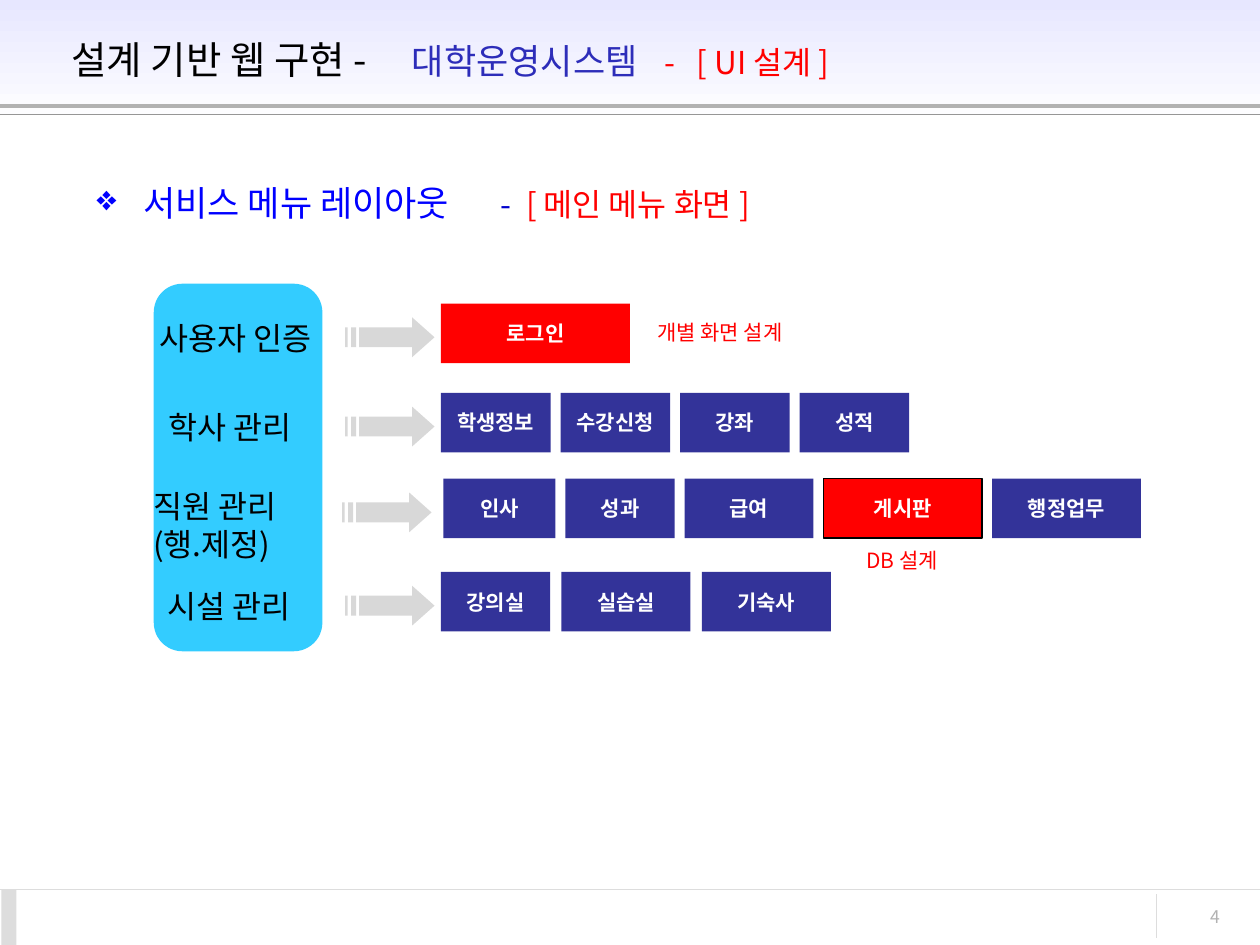
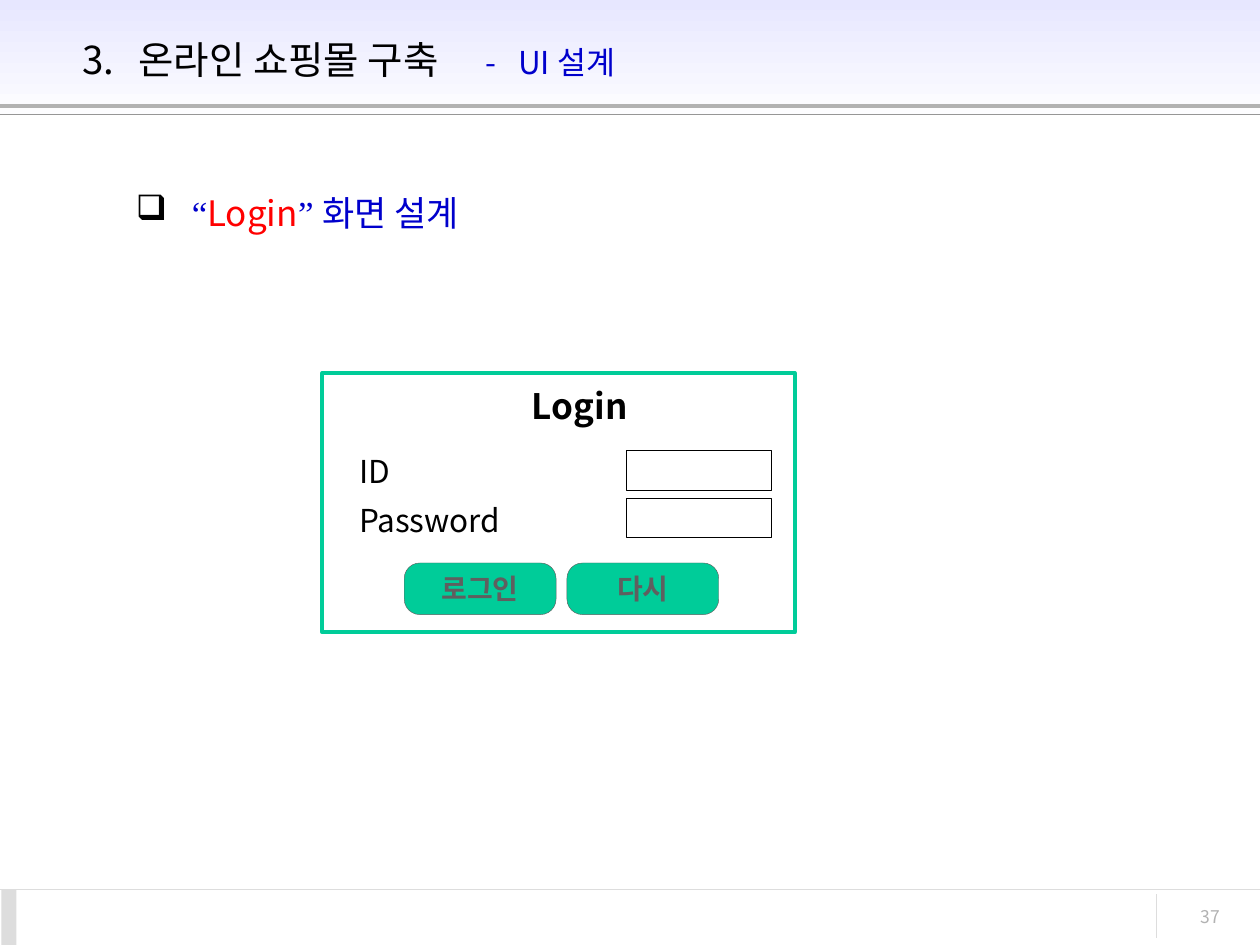
from dataclasses import dataclass

from pptx import Presentation
from pptx.dml.color import RGBColor
from pptx.enum.shapes import MSO_CONNECTOR, MSO_SHAPE
from pptx.enum.text import MSO_ANCHOR, MSO_AUTO_SIZE, PP_ALIGN
from pptx.oxml.ns import qn
from pptx.util import Cm, Pt
from lxml import etree

RECTANGLE = MSO_SHAPE.RECTANGLE
ROUNDED = MSO_SHAPE.ROUNDED_RECTANGLE
STRAIGHT = MSO_CONNECTOR.STRAIGHT
MIDDLE = MSO_ANCHOR.MIDDLE
FIXED_SIZE = MSO_AUTO_SIZE.NONE
LEFT, CENTER, RIGHT = PP_ALIGN.LEFT, PP_ALIGN.CENTER, PP_ALIGN.RIGHT


@dataclass(frozen=True)
class Theme:
    font: str = "Noto Sans CJK KR"
    quote_font: str = "Times New Roman"
    black: str = "000000"
    white: str = "FFFFFF"
    red: str = "FF0000"
    blue: str = "0000FF"
    deep_blue: str = "0000CC"
    title_blue: str = "2D2DB9"
    navy: str = "333399"
    sky: str = "33CCFF"
    green: str = "00CC99"
    lavender: str = "E7E7FF"
    dark_gray: str = "5F5F5F"
    rule_gray: str = "969696"
    gray: str = "B2B2B2"
    light_gray: str = "DDDDDD"
    title_size: float = 22
    heading_size: float = 20
    text_size: float = 18
    key_size: float = 16
    small_size: float = 12
    number_size: float = 10


theme = Theme()


def add_box(slide, kind, left, top, width, height, fill=None, line=None, weight=0.75):
    """Add a flat preset shape, or a text box when kind is None; lengths in cm."""
    bounds = [Cm(length) for length in (left, top, width, height)]
    if kind is None:
        return slide.shapes.add_textbox(*bounds)
    shape = slide.shapes.add_shape(kind, *bounds)
    shape.shadow.inherit = False
    if fill:
        shape.fill.solid()
        shape.fill.fore_color.rgb = RGBColor.from_string(fill)
    else:
        shape.fill.background()
    if line:
        shape.line.color.rgb = RGBColor.from_string(line)
        shape.line.width = Pt(weight)
    else:
        shape.line.fill.background()
    return shape


def write(paragraph, runs, align=LEFT, bold=False, bullet=None, tabs=()):
    """Add (text, size, colour[, font]) runs, with optional bullet and tab stops in cm."""
    paragraph.alignment = align
    for text, size, color, *font in runs:
        run = paragraph.add_run()
        run.text = text
        run.font.size = Pt(size)
        run.font.bold = bold
        run.font.color.rgb = RGBColor.from_string(color)
        run.font.name = font[0] if font else theme.font
        east_asian = etree.SubElement(run.font._element, qn("a:ea"))
        east_asian.set("typeface", run.font.name)
    properties = paragraph._p.get_or_add_pPr()
    if bullet:
        character, color, indent = bullet
        properties.set("marL", str(Cm(indent)))
        properties.set("indent", str(-Cm(indent)))
        bullet_color = etree.SubElement(properties, qn("a:buClr"))
        etree.SubElement(bullet_color, qn("a:srgbClr")).set("val", color)
        etree.SubElement(properties, qn("a:buChar")).set("char", character)
    if tabs:
        tab_list = etree.SubElement(properties, qn("a:tabLst"))
        for position in tabs:
            tab = etree.SubElement(tab_list, qn("a:tab"))
            tab.set("pos", str(Cm(position)))
            tab.set("algn", "l")


presentation = Presentation()
presentation.slide_width = Cm(25.4)
presentation.slide_height = Cm(19.05)
title_only = presentation.slide_layouts[5]

# Page number, title left, title tab stops, title runs
pages = [
    ("4", 1.19, (6.86, 11.96, 12.6), [
        ("설계 기반 웹 구현 -\t", theme.title_size, theme.black),
        ("대학운영시스템\t", theme.heading_size, theme.title_blue),
        ("-\t[ UI 설계 ]", theme.text_size, theme.red)]),
    ("37", 1.4, (1.14, 8.13, 8.79), [
        ("3.\t온라인 쇼핑몰 구축\t", theme.title_size, theme.black),
        ("-\tUI 설계", theme.text_size, theme.deep_blue)]),
]

# Start x, start y, end x, end y, colour, weight
rules = [
    (0, 2.13, 25.4, 2.13, theme.gray, 2.25),
    (0, 2.31, 25.4, 2.31, theme.rule_gray, 0.75),
    (0, 17.93, 25.4, 17.93, theme.light_gray, 0.75),
    (23.32, 18.03, 23.32, 18.9, theme.light_gray, 0.75),
]

# Shared frame: title band, rules, footer and title
for number, title_left, title_tabs, title_runs in pages:
    slide = presentation.slides.add_slide(title_only)

    band = add_box(slide, RECTANGLE, 0, 0, 25.4, 2.54)
    band.fill.gradient()
    band.fill.gradient_angle = 270
    for stop, position, color in zip(band.fill.gradient_stops, (0, 1),
                                     (theme.lavender, theme.white)):
        stop.position = position
        stop.color.rgb = RGBColor.from_string(color)

    for *ends, color, weight in rules:
        rule = slide.shapes.add_connector(STRAIGHT, *[Cm(end) for end in ends])
        rule.line.color.rgb = RGBColor.from_string(color)
        rule.line.width = Pt(weight)
        etree.SubElement(rule._element.spPr, qn("a:effectLst"))

    add_box(slide, RECTANGLE, 0.03, 17.93, 0.3, 1.12, theme.light_gray)
    footer = add_box(slide, None, 22.5, 18.14, 2.34, 0.84)
    footer.text_frame.word_wrap = True
    write(footer.text_frame.paragraphs[0],
          [(number, theme.number_size, theme.gray)], RIGHT)

    title = slide.shapes.title
    title.left, title.top = Cm(title_left), Cm(0.33)
    title.width, title.height = Cm(21.92), Cm(1.73)
    title.text_frame.auto_size = FIXED_SIZE
    title.text_frame.vertical_anchor = MIDDLE
    write(title.text_frame.paragraphs[0], title_runs, tabs=title_tabs)
    title.element.getparent().append(title.element)  # bring in front of the band

menu_slide, login_slide = presentation.slides

# Menu slide: heading
heading = add_box(menu_slide, None, 1.7, 3.53, 18.39, 1.12)
heading.text_frame.word_wrap = True
paragraph = heading.text_frame.paragraphs[0]
paragraph.space_before = Pt(11.2)
write(paragraph, [
    ("\t서비스 메뉴 레이아웃\t", theme.heading_size, theme.blue),
    ("-\t", theme.text_size, theme.deep_blue),
    ("[ 메인 메뉴 화면 ]", theme.text_size, theme.red),
], bullet=("❖", theme.blue, 0), tabs=(0.94, 8.15, 8.66))

# Menu slide: category panel
panel = add_box(menu_slide, ROUNDED, 3.1, 5.72, 3.4, 7.41, theme.sky)
panel.adjustments[0] = 0.17

# Row top, label (lines, left, offset, width, height), arrow left,
# first button left, gap, buttons (name, width)
menu_rows = [
    (6.12, (["사용자 인증"], 2.97, 0.18, 3.76, 1.02), 6.96, 8.89, 0.2,
     [("로그인", 3.81)]),
    (7.92, (["학사 관리"], 3.15, 0.18, 3.15, 1.02), 6.96, 8.89, 0.2,
     [("학생정보", 2.21), ("수강신청", 2.21), ("강좌", 2.21), ("성적", 2.21)]),
    (9.65, (["직원 관리", "(행.제정)"], 2.84, 0.05, 3.56, 1.78), 6.9, 8.94, 0.2,
     [("인사", 2.26), ("성과", 2.2), ("급여", 2.6), ("게시판", 3.2), ("행정업무", 3)]),
    (11.53, (["시설 관리"], 3.12, 0.18, 3.15, 1.02), 6.96, 8.89, 0.23,
     [("강의실", 2.2), ("실습실", 2.6), ("기숙사", 2.6)]),
]

# Arrow contours relative to its top left corner: arrow and two tail bars
arrow_contours = [
    [(1.35, 0), (1.35, 0.2), (0.28, 0.2), (0.28, 0.6), (1.35, 0.6), (1.35, 0.8), (1.8, 0.4)],
    [(0.12, 0.2), (0.12, 0.6), (0.22, 0.6), (0.22, 0.2)],
    [(0, 0.2), (0, 0.6), (0.05, 0.6), (0.05, 0.2)],
]

# Menu slide: label, arrow and buttons of each row
for top, label, arrow_left, left, gap, buttons in menu_rows:
    lines, label_left, offset, label_width, label_height = label
    label_box = add_box(menu_slide, None, label_left, top + offset, label_width, label_height)
    frame = label_box.text_frame
    frame.word_wrap = False
    for index, line in enumerate(lines):
        paragraph = frame.add_paragraph() if index else frame.paragraphs[0]
        write(paragraph, [(line, theme.text_size, theme.black)])

    builder = None
    for contour in arrow_contours:
        points = [(Cm(arrow_left + x), Cm(top + 0.28 + y)) for x, y in contour]
        if builder is None:
            builder = menu_slide.shapes.build_freeform(*points[0])
        else:
            builder.move_to(*points[0])
        builder.add_line_segments(points[1:], close=True)
    arrow = builder.convert_to_shape()
    arrow.shadow.inherit = False
    arrow.line.fill.background()
    arrow.fill.solid()
    arrow.fill.fore_color.rgb = RGBColor.from_string(theme.gray)
    arrow_color = arrow._element.spPr.find(".//" + qn("a:srgbClr"))
    etree.SubElement(arrow_color, qn("a:alpha")).set("val", "50000")

    for name, width in buttons:
        fill = theme.red if name in ("로그인", "게시판") else theme.navy
        outline = theme.black if name == "게시판" else None
        button = add_box(menu_slide, RECTANGLE, left, top, width, 1.2, fill, outline)
        button.text_frame.vertical_anchor = MIDDLE
        paragraph = button.text_frame.paragraphs[0]
        paragraph.space_before = Pt(3)
        write(paragraph, [(name, theme.small_size, theme.white)], CENTER, bold=True)
        left += width + gap

# Menu slide: red remarks
for text, left, top, width in [("DB 설계", 17.22, 10.92, 2.16),
                               ("개별 화면 설계", 13, 6.32, 3.3)]:
    remark = add_box(menu_slide, None, left, top, width, 0.76)
    remark.text_frame.word_wrap = False
    write(remark.text_frame.paragraphs[0], [(text, theme.small_size, theme.red)])

# Login slide: heading
heading = add_box(login_slide, None, 2.49, 3.73, 11.71, 2.08)
heading.text_frame.word_wrap = True
paragraph = heading.text_frame.paragraphs[0]
paragraph.space_before = Pt(5)
paragraph.space_after = Pt(15)
write(paragraph, [
    (" ", theme.heading_size, theme.deep_blue),
    ("“", theme.heading_size, theme.deep_blue, theme.quote_font),
    ("Login", theme.heading_size, theme.red),
    ("” ", theme.heading_size, theme.deep_blue, theme.quote_font),
    ("화면 설계", theme.heading_size, theme.deep_blue),
], bullet=("❑", theme.black, 0.97))

# Login slide: window with its caption
add_box(login_slide, RECTANGLE, 6.5, 7.52, 9.52, 5.23, theme.white, theme.green, 2.25)
caption = add_box(login_slide, None, 10.46, 7.62, 2.46, 1.12)
caption.text_frame.word_wrap = False
write(caption.text_frame.paragraphs[0],
      [("Login", theme.heading_size, theme.black)], CENTER, bold=True)

# Login slide: field names and entry fields
field_names = add_box(login_slide, None, 6.99, 8.76, 3.38, 2.24)
frame = field_names.text_frame
frame.word_wrap = False
for index, name in enumerate(["ID", "Password"]):
    paragraph = frame.add_paragraph() if index else frame.paragraphs[0]
    paragraph.line_spacing = 1.3
    write(paragraph, [(name, theme.text_size, theme.black)])
    add_box(login_slide, RECTANGLE, 12.62, 9.08 + index * 0.96, 2.92, 0.8,
            line=theme.black, weight=0.25)

# Login slide: buttons
for index, name in enumerate(["로그인", "다시"]):
    button = add_box(login_slide, ROUNDED, 8.15 + index * 3.28, 11.35, 3.06, 1.04,
                     theme.green, theme.dark_gray, 0.25)
    button.adjustments[0] = 0.3
    button.text_frame.word_wrap = False
    button.text_frame.vertical_anchor = MIDDLE
    write(button.text_frame.paragraphs[0],
          [(name, theme.key_size, theme.dark_gray)], CENTER, bold=True)

presentation.save("out.pptx")
